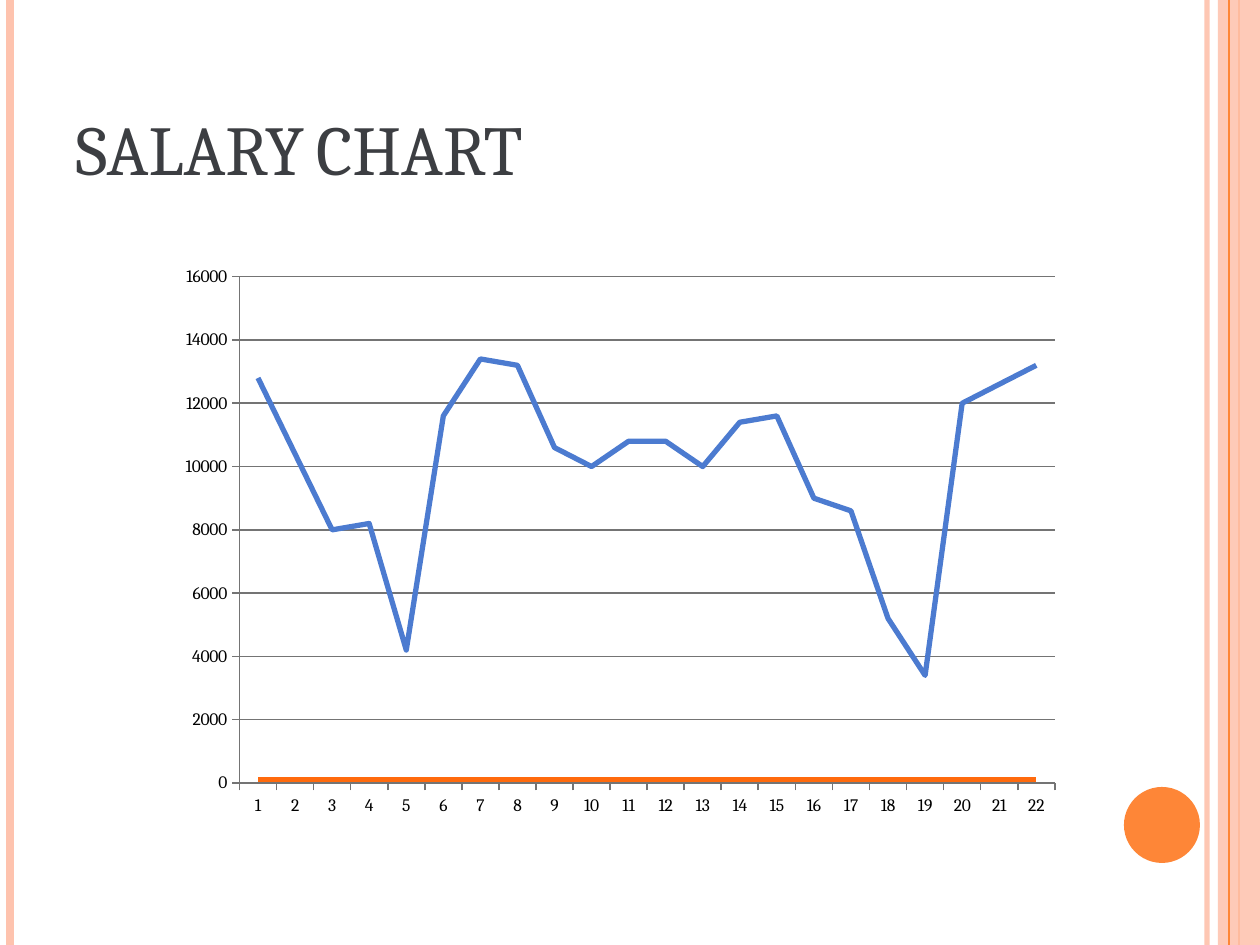
from dataclasses import dataclass

from lxml.etree import SubElement
from pptx import Presentation
from pptx.chart.data import CategoryChartData
from pptx.dml.color import RGBColor
from pptx.enum.chart import XL_CHART_TYPE as ChartType, XL_TICK_MARK as TickMark
from pptx.enum.chart import XL_MARKER_STYLE as MarkerStyle
from pptx.enum.shapes import MSO_CONNECTOR as Connector, MSO_SHAPE as Shape
from pptx.enum.text import MSO_ANCHOR as Anchor, PP_ALIGN as Align
from pptx.oxml import parse_xml
from pptx.oxml.ns import nsdecls, qn
from pptx.util import Emu, Pt

PAGE_WIDTH, PAGE_HEIGHT = 1260, 945


@dataclass(frozen=True)
class Theme:
    font: str = "Cambria"
    title_size: int = 40
    chart_size: int = 10
    title: str = "3C3E42"
    text: str = "000000"
    peach: str = "FEC3AE"
    orange: str = "FE8637"
    grid: str = "747474"
    base_series: str = "FF6A0D"
    salary_series: str = "4C7BD0"


THEME = Theme()

SALARIES = [12800, 10400, 8000, 8200, 4200, 11600, 13400, 13200, 10600, 10000, 10800,
            10800, 10000, 11400, 11600, 9000, 8600, 5200, 3400, 12000, 12600, 13200]


def px(length):
    return Emu(round(length * 914400 / 126))


def box_px(*lengths):
    return [px(length) for length in lengths]


def color(value):
    return RGBColor.from_string(value)


def set_alpha(shape, percent):
    """Make the shape's first solid colour translucent."""
    rgb = next(shape.element.spPr.iter(qn("a:srgbClr")))
    SubElement(rgb, qn("a:alpha")).set("val", str(percent * 1000))


def set_line(line, value, width):
    line.color.rgb = color(value)
    line.width = Pt(width)


def add_stripe(page, x, value, width, alpha=100):
    stripe = page.shapes.add_connector(Connector.STRAIGHT, *box_px(x, 0, x, PAGE_HEIGHT))
    set_line(stripe.line, value, width)
    set_alpha(stripe, alpha)
    SubElement(stripe.element.spPr, qn("a:effectLst"))


def add_plain_shape(page, kind, box, value, alpha=100):
    shape = page.shapes.add_shape(kind, *box_px(*box))
    shape.shadow.inherit = False
    shape.fill.solid()
    shape.fill.fore_color.rgb = color(value)
    shape.line.fill.background()
    set_alpha(shape, alpha)


def add_decoration(page):
    add_stripe(page, 1207, THEME.peach, 3, alpha=93)
    add_stripe(page, 10, THEME.peach, 4.5)
    add_stripe(page, 1239, THEME.orange, 1.5)
    add_plain_shape(page, Shape.RECTANGLE, (1218, 0, 42, PAGE_HEIGHT), THEME.peach, alpha=87)
    add_stripe(page, 1229, THEME.orange, 0.75)
    add_plain_shape(page, Shape.OVAL, (1124, 787, 76, 76), THEME.orange)


def fill_title(page, text):
    title = page.shapes.title
    title.left, title.top, title.width, title.height = box_px(63, 38, 1029, 158)
    frame = title.text_frame
    frame.text = text
    frame.vertical_anchor = Anchor.BOTTOM
    para = frame.paragraphs[0]
    para.alignment = Align.LEFT
    font = para.runs[0].font
    font.name, font.size = THEME.font, Pt(THEME.title_size)
    font.color.rgb = color(THEME.title)
    next(title.element.iter(qn("a:rPr"))).set("cap", "small")


def style_axis(axis):
    axis.major_tick_mark = TickMark.OUTSIDE
    axis.minor_tick_mark = TickMark.NONE
    set_line(axis.format.line, THEME.grid, 0.9)


def set_plot_area(chart, **fractions):
    """Fix the inner plot area as fractions of the chart's frame."""
    parts = "".join(f'<c:{name} val="{value}"/>' for name, value in fractions.items())
    layout = parse_xml(
        f'<c:layout {nsdecls("c")}><c:manualLayout><c:layoutTarget val="inner"/>'
        f'<c:xMode val="edge"/><c:yMode val="edge"/>{parts}</c:manualLayout></c:layout>')
    plot_area = next(chart.element.iter(qn("c:plotArea")))
    for old in plot_area.findall(qn("c:layout")):
        plot_area.remove(old)
    plot_area.insert(0, layout)


def add_salary_chart(page):
    data = CategoryChartData()
    data.categories = [str(number) for number in range(1, len(SALARIES) + 1)]
    data.add_series("Series 1", [100] * len(SALARIES))
    data.add_series("Series 2", SALARIES)
    frame = page.shapes.add_chart(ChartType.LINE, *box_px(167, 254, 906, 569), data)
    chart = frame.chart
    chart.has_legend = chart.has_title = False
    chart.font.name, chart.font.size = THEME.font, Pt(THEME.chart_size)
    chart.font.color.rgb = color(THEME.text)
    chart.plots[0].vary_by_categories = False
    for series, value in zip(chart.series, (THEME.base_series, THEME.salary_series)):
        series.smooth = False
        series.marker.style = MarkerStyle.NONE
        set_line(series.format.line, value, 3)
    style_axis(chart.category_axis)
    values = chart.value_axis
    style_axis(values)
    values.minimum_scale, values.maximum_scale, values.major_unit = 0, 16000, 2000
    values.has_major_gridlines = True
    set_line(values.major_gridlines.format.line, THEME.grid, 0.9)
    set_plot_area(chart, x=0.08, y=0.04, w=0.9, h=0.89)


def main():
    deck = Presentation()
    deck.slide_width, deck.slide_height = box_px(PAGE_WIDTH, PAGE_HEIGHT)
    page = deck.slides.add_slide(deck.slide_layouts[5])
    add_decoration(page)
    fill_title(page, "SALARY CHART")
    add_salary_chart(page)
    deck.save("out.pptx")


if __name__ == "__main__":
    main()
